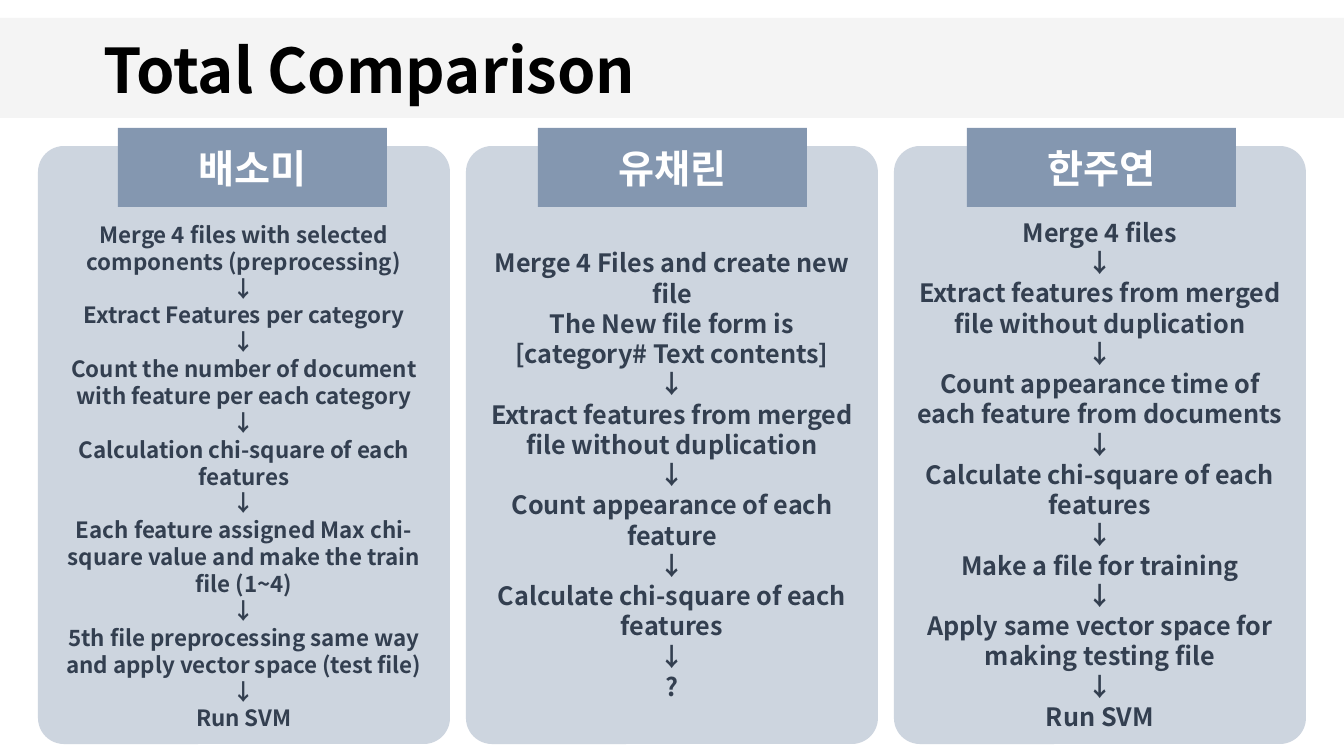
"""Build the Total Comparison slide: three pipelines side by side."""
import pptx
import pptx.dml.color
import pptx.enum.shapes
import pptx.enum.text
import pptx.oxml
import pptx.oxml.ns
import pptx.util

TITLE = "Total Comparison"
COLUMNS = [
    dict(name="배소미", tab_x=118, size="small", bottom=5, steps=[
        "Merge 4 files with selected components (preprocessing)",
        "Extract Features per category",
        "Count the number of document with feature per each category",
        "Calculation chi-square of each features",
        "Each feature assigned Max chi-square value and make the train file (1~4)",
        "5th file preprocessing same way and apply vector space (test file)",
        "Run SVM"]),
    dict(name="유채린", tab_x=538, size="body", bottom=35, steps=[
        "Merge 4 Files and create new file\nThe New file form is [category# Text contents]",
        "Extract features from merged file without duplication",
        "Count appearance of each feature",
        "Calculate chi-square of each features",
        "?"]),
    dict(name="한주연", tab_x=967, size="body", bottom=5, steps=[
        "Merge 4 files",
        "Extract features from merged file without duplication",
        "Count appearance time of each feature from documents",
        "Calculate chi-square of each features",
        "Make a file for training",
        "Apply same vector space for making testing file",
        "Run SVM"]),
]

THEME = dict(
    font="Noto Sans CJK KR",
    colors=dict(band="EDEDED", panel="ADB9CA", tab="8497B0",
                title="000000", body="333F50", name="FFFFFF"),
    sizes=dict(title=44, name=28, body=18, small=16),
)
SLIDE_W, SLIDE_H = 1344, 756
BAND = (0, 18, SLIDE_W, 100)
TITLE_BOX = (93, 1, 1159, 146)
PANEL_X, PANEL_Y, PANEL_W, PANEL_H, PANEL_GAP = 38, 146, 412, 598, 16
TAB_Y, TAB_W, TAB_H = 128, 269, 79
SHAPES = pptx.enum.shapes.MSO_SHAPE
ANCHOR = pptx.enum.text.MSO_ANCHOR
ALIGN = pptx.enum.text.PP_ALIGN


def px(n):
    return pptx.util.Emu(round(n * 914400 / 100.8))


def rgb(name):
    return pptx.dml.color.RGBColor.from_string(THEME["colors"][name])


def add_box(slide, kind, box, color, opacity=100):
    sp = slide.shapes.add_shape(kind, *map(px, box))
    sp.shadow.inherit = False
    sp.fill.solid()
    sp.fill.fore_color.rgb = rgb(color)
    sp.line.fill.background()
    if opacity < 100:
        clr = sp.fill._xPr.find(".//" + pptx.oxml.ns.qn("a:srgbClr"))
        alpha = pptx.oxml.parse_xml(
            f'<a:alpha {pptx.oxml.ns.nsdecls("a")} val="{opacity * 1000}"/>')
        clr.append(alpha)
    return sp


def write(sp, lines, color, size, anchor, **paragraph_format):
    tf = sp.text_frame
    tf.word_wrap = True
    tf.vertical_anchor = anchor
    tf.text = "\n".join(lines)
    font = dict(name=THEME["font"], size=pptx.util.Pt(THEME["sizes"][size]), bold=True)
    for p in tf.paragraphs:
        for key, value in paragraph_format.items():
            setattr(p, key, value)
        for r in p.runs:
            for key, value in font.items():
                setattr(r.font, key, value)
            r.font.color.rgb = rgb(color)
            ea = pptx.oxml.parse_xml(
                f'<a:ea {pptx.oxml.ns.nsdecls("a")} typeface="{THEME["font"]}"/>')
            r.font._element.find(pptx.oxml.ns.qn("a:latin")).addnext(ea)


def add_title(slide):
    band = add_box(slide, SHAPES.RECTANGLE, BAND, "band", 60)
    title = slide.shapes.title
    title._element.addprevious(band._element)
    for key, value in zip(("left", "top", "width", "height"), TITLE_BOX):
        setattr(title, key, px(value))
    write(title, [TITLE], "title", "title", ANCHOR.MIDDLE,
          alignment=ALIGN.LEFT, line_spacing=0.9)


def add_column(slide, i, column):
    x = PANEL_X + i * (PANEL_W + PANEL_GAP)
    panel = add_box(slide, SHAPES.ROUNDED_RECTANGLE,
                    (x, PANEL_Y, PANEL_W, PANEL_H), "panel", 60)
    panel.adjustments[0] = 0.063
    panel.text_frame.margin_bottom = px(column["bottom"])
    write(panel, "\n↓\n".join(column["steps"]).split("\n"), "body", column["size"],
          ANCHOR.BOTTOM, alignment=ALIGN.CENTER)
    tab = add_box(slide, SHAPES.RECTANGLE, (column["tab_x"], TAB_Y, TAB_W, TAB_H), "tab")
    write(tab, [column["name"]], "name", "name", ANCHOR.MIDDLE, alignment=ALIGN.CENTER)


def main():
    prs = pptx.Presentation()
    prs.slide_width, prs.slide_height = px(SLIDE_W), px(SLIDE_H)
    slide = prs.slides.add_slide(prs.slide_layouts.get_by_name("Title Only"))
    add_title(slide)
    for i, column in enumerate(COLUMNS):
        add_column(slide, i, column)
    prs.save("out.pptx")


if __name__ == "__main__":
    main()
